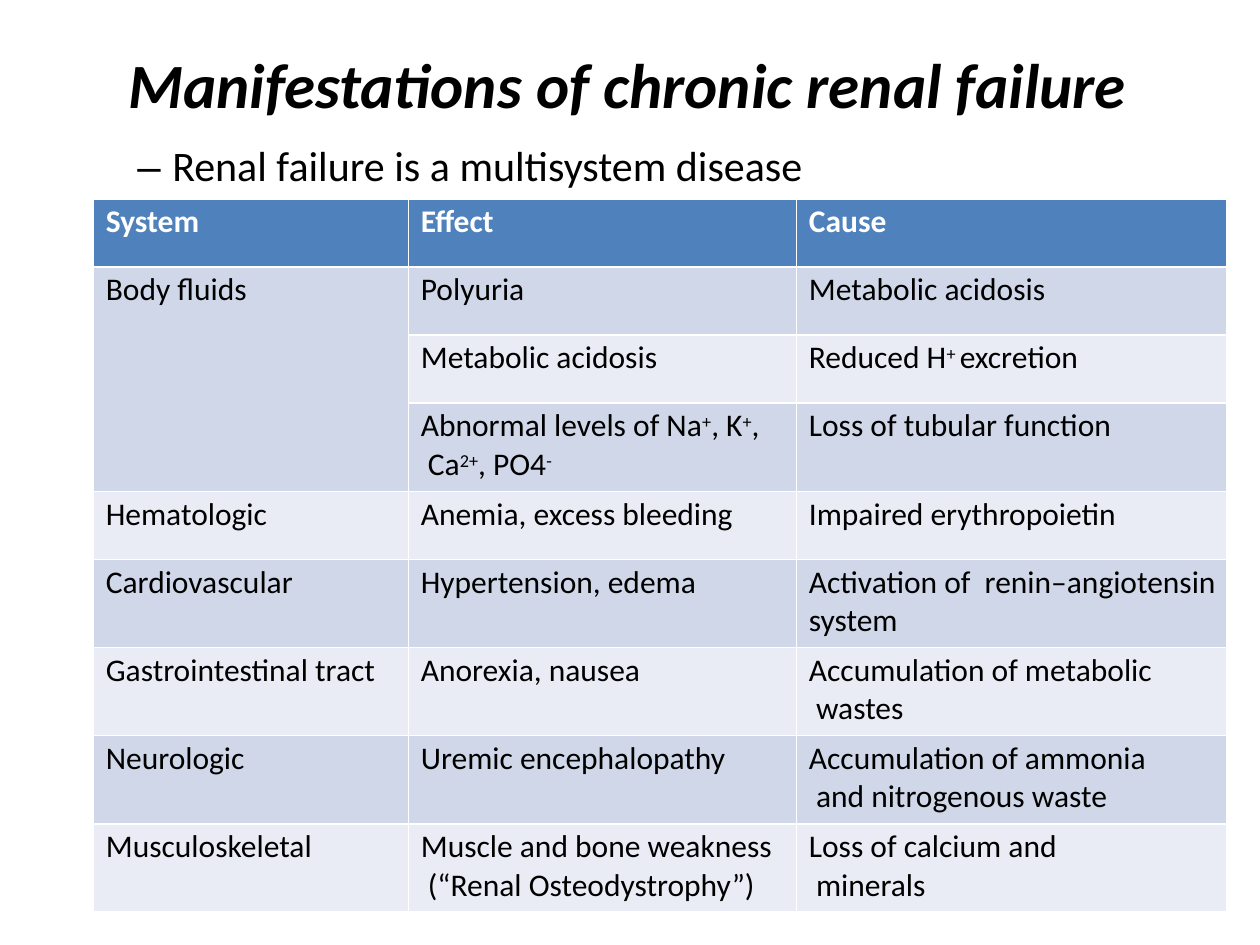
import pptx
import pptx.dml.color
import pptx.enum.text
import pptx.util

Inches = pptx.util.Inches
Pt = pptx.util.Pt


def color(value):
    return pptx.dml.color.RGBColor.from_string(value)


def format_paragraph(paragraph, size, value, bold=False):
    paragraph.alignment = pptx.enum.text.PP_ALIGN.LEFT
    paragraph.font.name = "Calibri"
    paragraph.font.size = Pt(size)
    paragraph.font.bold = bold
    paragraph.font.color.rgb = color(value)


presentation = pptx.Presentation()
presentation.slide_width = Inches(10)
presentation.slide_height = Inches(7.5)
slide = presentation.slides.add_slide(presentation.slide_layouts[5])

title = slide.shapes.title
title.text_frame.text = "Manifestations of chronic renal failure"
format_paragraph(title.text_frame.paragraphs[0], 36, "000000", True)
title.text_frame.paragraphs[0].font.italic = True

subtitle = slide.shapes.add_textbox(0, 0, 0, 0)
paragraph = subtitle.text_frame.paragraphs[0]
dash = paragraph.add_run()
dash.text = "– "
dash.font.name = "Arial"
paragraph.add_run().text = "Renal failure is a multisystem disease"
format_paragraph(paragraph, 24, "000000")

for shape, left, top, width, height in (
    (title, 1.02, 0.35, 7.96, 0.63),
    (subtitle, 1.09, 1.1, 5.34, 0.43),
):
    shape.left, shape.top = Inches(left), Inches(top)
    shape.width, shape.height = Inches(width), Inches(height)
    frame = shape.text_frame
    frame.margin_left = frame.margin_right = frame.margin_bottom = 0
    frame.margin_top = Inches(0.01)
    frame.word_wrap = True
    frame.auto_size = pptx.enum.text.MSO_AUTO_SIZE.NONE
    frame.vertical_anchor = pptx.enum.text.MSO_ANCHOR.TOP
    frame.paragraphs[0].space_before = Pt(1)

rows = [
    ("System", "Effect", "Cause"),
    ("Body fluids", "Polyuria", "Metabolic acidosis"),
    ("", "Metabolic acidosis", "Reduced H^+ ^excretion"),
    ("", "Abnormal levels of Na^+^, K^+^,\n Ca^2+^, PO4^-", "Loss of tubular function"),
    ("Hematologic", "Anemia, excess bleeding", "Impaired erythropoietin"),
    ("Cardiovascular", "Hypertension, edema", "Activation of  renin–angiotensin system"),
    ("Gastrointestinal tract", "Anorexia, nausea", "Accumulation of metabolic\n wastes"),
    ("Neurologic", "Uremic encephalopathy", "Accumulation of ammonia\n and nitrogenous waste"),
    ("Musculoskeletal", "Muscle and bone weakness\n (“Renal Osteodystrophy”)",
     "Loss of calcium and\n minerals"),
]
column_widths = (2.5, 3.08, 3.42)
short_row, tall_row = 0.54, 0.7
tall_rows = (3, 5, 6, 7, 8)
stripes = ("E9ECF4", "D0D7E8")

table = slide.shapes.add_table(
    len(rows), len(column_widths), Inches(0.74), Inches(1.58), Inches(9), Inches(5.66)
).table
for column, width in zip(table.columns, column_widths):
    column.width = Inches(width)
table.cell(1, 0).merge(table.cell(3, 0))

for row_index, texts in enumerate(rows):
    header = row_index == 0
    table.rows[row_index].height = Inches(tall_row if row_index in tall_rows else short_row)
    for column_index, text in enumerate(texts):
        cell = table.cell(row_index, column_index)
        cell.fill.solid()
        cell.fill.fore_color.rgb = color("4F81BC" if header else stripes[row_index % 2])
        cell.margin_left = Inches(0.1)
        cell.margin_right = cell.margin_bottom = 0
        cell.margin_top = Inches(0.03)
        paragraph = cell.text_frame.paragraphs[0]
        paragraph.space_before = Pt(2.5)
        format_paragraph(paragraph, 18, "FFFFFF" if header else "000000", header)
        for piece_index, piece in enumerate(text.split("^")):
            for line_index, line in enumerate(piece.split("\n")):
                if line_index:
                    paragraph.add_line_break()
                run = paragraph.add_run()
                run.text = line
                if piece_index % 2:
                    run.font._element.set("baseline", "25000")

presentation.save("out.pptx")
